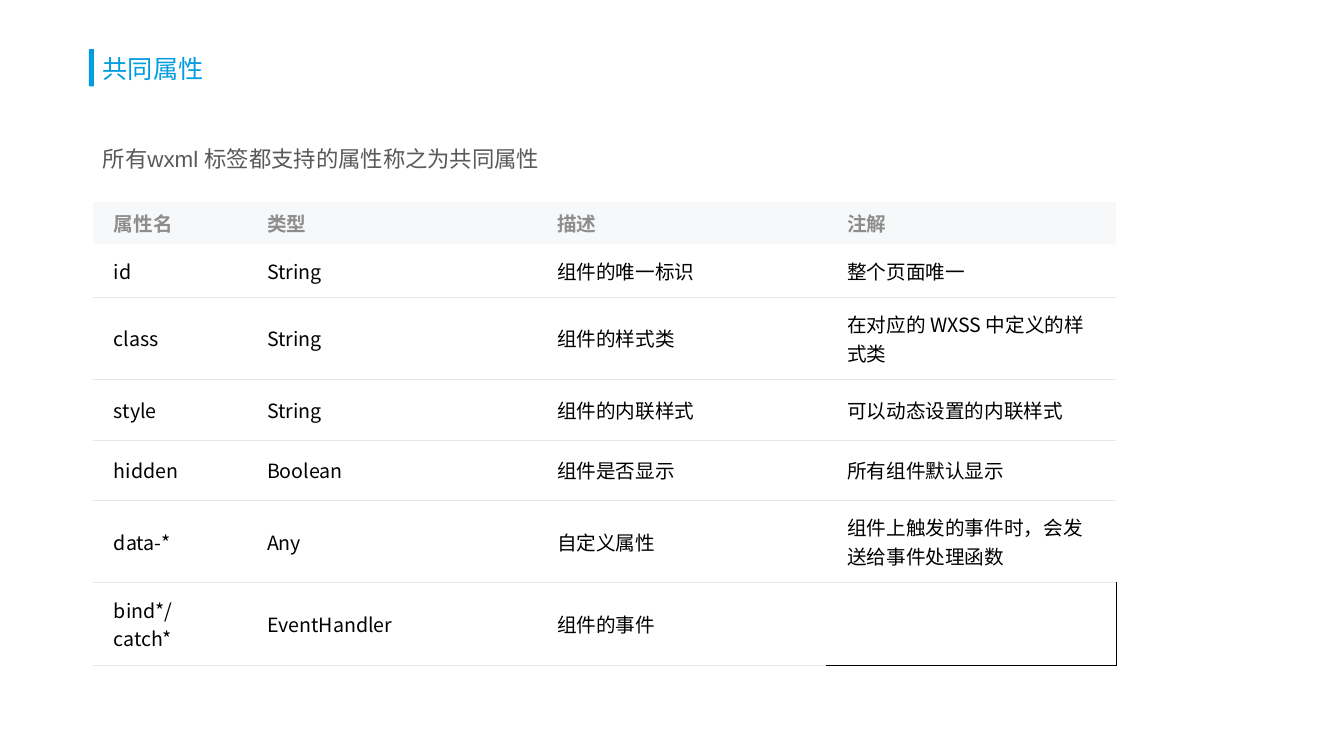
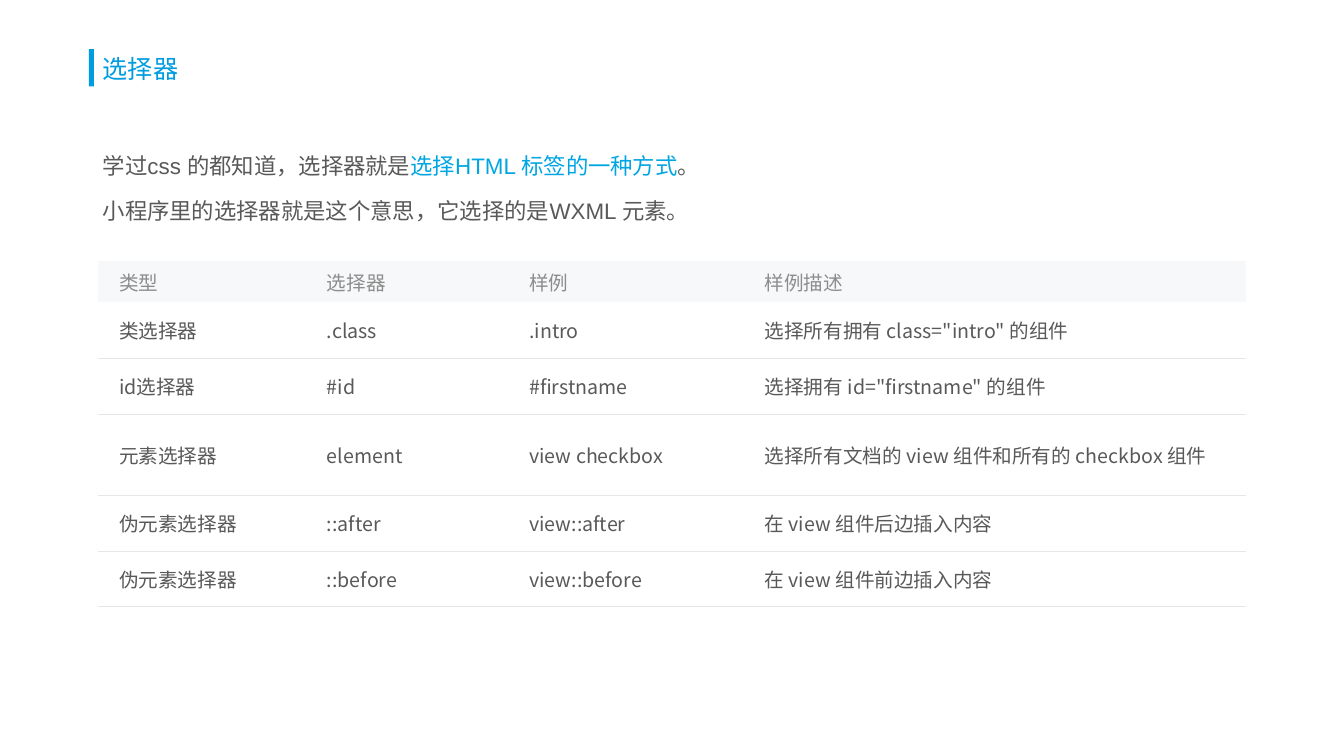
from dataclasses import dataclass

from lxml.etree import SubElement
from pptx import Presentation
from pptx.dml.color import RGBColor
from pptx.enum.shapes import MSO_SHAPE
from pptx.enum.text import MSO_ANCHOR
from pptx.oxml.ns import qn
from pptx.util import Cm, Pt


@dataclass(frozen=True)
class Theme:
    accent: str = "009CE0"
    highlight: str = "00A5E3"
    text: str = "595959"
    black: str = "000000"
    head_text: str = "8D8D8D"
    head_fill: str = "F6F8F9"
    row_fill: str = "FFFFFF"
    rule: str = "E7E7EB"
    latin: str = "Arial"
    cjk: str = "Noto Sans CJK SC"
    title_size: int = 18
    body_size: int = 16
    table_size: int = 14


T = Theme()
LEFT, WIDTH = 2.34, 29.2


def style(p, size, color, name, bold=False):
    """Set the font of a whole paragraph, Chinese glyphs included."""
    f = p.font
    f.size, f.bold, f.name = Pt(size), bold, name
    f.color.rgb = RGBColor.from_string(color)
    SubElement(p._p.pPr.find(qn("a:defRPr")), qn("a:ea"), typeface=T.cjk)


def text_box(s, x, y, w, h):
    tf = s.shapes.add_textbox(Cm(x), Cm(y), Cm(w), Cm(h)).text_frame
    tf.word_wrap = True
    return tf


def add_title(s, text, x=LEFT, y=1.02, w=WIDTH, h=1.5):
    # Accent bar
    bar = s.shapes.add_shape(MSO_SHAPE.RECTANGLE, Cm(x - 0.1), Cm(y + 0.22), Cm(0.13), Cm(0.94))
    bar.shadow.inherit = False
    bar.fill.solid()
    bar.fill.fore_color.rgb = RGBColor.from_string(T.accent)
    bar.line.fill.background()
    # Title text
    tf = text_box(s, x, y, w, h)
    tf.vertical_anchor = MSO_ANCHOR.MIDDLE
    p = tf.paragraphs[0]
    p.line_spacing = 0.9
    p.add_run().text = text
    style(p, T.title_size, T.accent, T.latin)


def add_intro(s, lines, y, h, x=LEFT, w=WIDTH):
    """Each line is a list of runs; every second run is highlighted."""
    tf = text_box(s, x, y, w, h)
    for i, runs in enumerate(lines):
        p = tf.add_paragraph() if i else tf.paragraphs[0]
        p.line_spacing, p.space_before = 1.5, Pt(3.2)
        style(p, T.body_size, T.text, T.latin)
        for j, text in enumerate(runs):
            r = p.add_run()
            r.text = text
            if j % 2:
                r.font.color.rgb = RGBColor.from_string(T.highlight)


def set_borders(cell, **colors):
    """Draw the sides named L, R, T or B; the other sides have no line."""
    tcPr = cell._tc.get_or_add_tcPr()
    for i, side in enumerate("LRTB"):
        ln = tcPr.makeelement(qn(f"a:ln{side}"), {"w": str(Pt(0.75))})
        tcPr.insert(i, ln)
        if side in colors:
            fill = SubElement(ln, qn("a:solidFill"))
            SubElement(fill, qn("a:srgbClr"), val=colors[side])
        else:
            SubElement(ln, qn("a:noFill"))


def add_grid(s, rows, x, y, widths, heights, color, inset, bold_head=False):
    frame = s.shapes.add_table(len(rows), len(widths), Cm(x), Cm(y),
                               Cm(sum(widths)), Cm(sum(heights)))
    tbl = frame.table
    tbl.first_row = tbl.horz_banding = False
    for col, w in zip(tbl.columns, widths):
        col.width = Cm(w)
    for i, (row, h) in enumerate(zip(rows, heights)):
        tbl.rows[i].height = Cm(h)
        head = i == 0
        for j, text in enumerate(row):
            cell = tbl.cell(i, j)
            cell.vertical_anchor = MSO_ANCHOR.MIDDLE
            cell.margin_left = cell.margin_right = Cm(inset)
            cell.margin_top = cell.margin_bottom = Cm(0.15 if head else 0.3)
            cell.fill.solid()
            cell.fill.fore_color.rgb = RGBColor.from_string(T.head_fill if head else T.row_fill)
            p = cell.text_frame.paragraphs[0]
            style(p, T.table_size, T.head_text if head else color, T.cjk, head and bold_head)
            if text:
                p.add_run().text = text
            # Rules under body rows; an empty cell is closed in black
            sides = {} if head else {"B": T.rule}
            if i > 1:
                sides["T"] = T.rule
            if not text:
                sides.update(R=T.black, B=T.black)
            set_borders(cell, **sides)


def attributes_slide(prs):
    s = prs.slides.add_slide(prs.slide_layouts[6])
    add_title(s, "共同属性")
    add_intro(s, [["所有wxml 标签都支持的属性称之为共同属性"]], y=3.2, h=1.5)
    rows = [
        ("属性名", "类型", "描述", "注解"),
        ("id", "String", "组件的唯一标识", "整个页面唯一"),
        ("class", "String", "组件的样式类", "在对应的 WXSS 中定义的样式类"),
        ("style", "String", "组件的内联样式", "可以动态设置的内联样式"),
        ("hidden", "Boolean", "组件是否显示", "所有组件默认显示"),
        ("data-*", "Any", "自定义属性", "组件上触发的事件时，会发送给事件处理函数"),
        ("bind*/catch*", "EventHandler", "组件的事件", ""),
    ]
    add_grid(s, rows, LEFT, 5.1, [3.86] + [7.31] * 3,
             [1.05, 1.34, 2.07, 1.53, 1.52, 2.07, 2.09], T.black, 0.53, bold_head=True)


def selectors_slide(prs):
    s = prs.slides.add_slide(prs.slide_layouts[6])
    add_title(s, "选择器")
    add_intro(s, [["学过css 的都知道，选择器就是", "选择HTML 标签的一种方式", "。"],
                  ["小程序里的选择器就是这个意思，它选择的是WXML 元素。"]], y=3.38, h=2.8)
    rows = [
        ("类型", "选择器", "样例", "样例描述"),
        ("类选择器", ".class", ".intro", '选择所有拥有 class="intro" 的组件'),
        ("id选择器", "#id", "#firstname", '选择拥有 id="firstname" 的组件'),
        ("元素选择器", "element", "view checkbox", "选择所有文档的 view 组件和所有的 checkbox 组件"),
        ("伪元素选择器", "::after", "view::after", "在 view 组件后边插入内容"),
        ("伪元素选择器", "::before", "view::before", "在 view 组件前边插入内容"),
    ]
    add_grid(s, rows, 2.48, 6.58, [5.24, 5.1, 5.93, 12.64],
             [1.04, 1.41, 1.41, 2.04, 1.41, 1.4], T.text, 0.52)


def main():
    prs = Presentation()
    prs.slide_width, prs.slide_height = Cm(33.87), Cm(19.05)
    attributes_slide(prs)
    selectors_slide(prs)
    prs.save("out.pptx")


if __name__ == "__main__":
    main()
